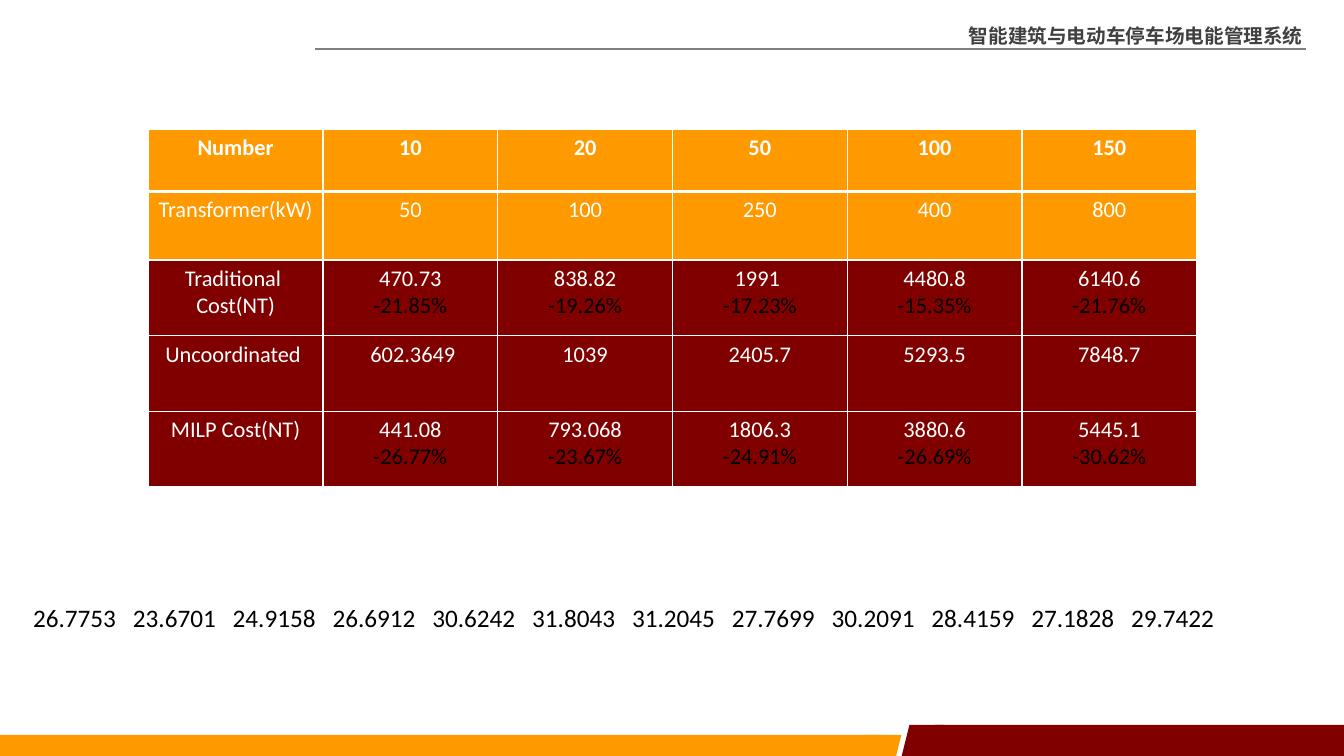
from lxml import etree
from pptx import Presentation
from pptx.dml.color import RGBColor
from pptx.enum import shapes, text
from pptx.oxml.ns import qn
from pptx.util import Inches, Pt

ORANGE = RGBColor(0xFF, 0x99, 0x00)
MAROON = RGBColor(0x80, 0x00, 0x00)
WHITE = RGBColor(0xFF, 0xFF, 0xFF)
BLACK = RGBColor(0x00, 0x00, 0x00)
GRAY = RGBColor(0x80, 0x80, 0x80)
DARK_GRAY = RGBColor(0x40, 0x40, 0x40)


def style_run(run, size, color, name="Calibri", bold=False):
    run.font.size = Pt(size)
    run.font.color.rgb = color
    run.font.name = name
    run.font.bold = bold


def add_border(cell, side, points):
    """Draw a white edge; call before the cell gets its fill."""
    line = etree.SubElement(cell._tc.get_or_add_tcPr(), qn(f"a:ln{side}"), w=str(Pt(points)))
    fill = etree.SubElement(line, qn("a:solidFill"))
    etree.SubElement(fill, qn("a:srgbClr"), val=str(WHITE))


prs = Presentation()
prs.slide_width = Inches(13.33)
prs.slide_height = Inches(7.5)
slide = prs.slides.add_slide(prs.slide_layouts[6])

# Footer bands
RECTANGLE = shapes.MSO_SHAPE.RECTANGLE
SLANT = shapes.MSO_SHAPE.PARALLELOGRAM
for kind, left, top, width, height, color in [
    (RECTANGLE, 0, 7.29, 8.73, 0.21, ORANGE),
    (SLANT, 8.52, 7.29, 0.42, 0.21, ORANGE),
    (SLANT, 8.94, 7.19, 0.42, 0.32, MAROON),
    (RECTANGLE, 9.27, 7.19, 4.06, 0.32, MAROON),
]:
    band = slide.shapes.add_shape(kind, Inches(left), Inches(top), Inches(width), Inches(height))
    band.shadow.inherit = False
    band.fill.solid()
    band.fill.fore_color.rgb = color
    band.line.fill.background()

# Header
header = slide.shapes.add_textbox(Inches(9.51), Inches(0.19), Inches(3.51), Inches(0.34))
header.text_frame.word_wrap = True
header.text_frame.margin_right = 0
header.text_frame.text = "智能建筑与电动车停车场电能管理系统"
header_run = header.text_frame.paragraphs[0].runs[0]
style_run(header_run, 14, DARK_GRAY, "Noto Sans CJK SC", True)
etree.SubElement(header_run.font._element, qn("a:ea"), typeface="Noto Sans CJK SC")

rule = slide.shapes.add_connector(
    shapes.MSO_CONNECTOR.STRAIGHT, Inches(3.12), Inches(0.49), Inches(12.95), Inches(0.49))
rule.line.color.rgb = GRAY
rule.line.width = Pt(1.5)
etree.SubElement(rule._element.spPr, qn("a:effectLst"))

# Cost table
COSTS = [
    ["Number", "10", "20", "50", "100", "150"],
    ["Transformer(kW)", "50", "100", "250", "400", "800"],
    ["Traditional \nCost(NT)", "470.73\n-21.85%", "838.82\n-19.26%",
     "1991 \n-17.23%", "4480.8\n-15.35%", "6140.6\n-21.76%"],
    ["Uncoordinated ", " 602.3649", "1039", "2405.7", "5293.5", "7848.7"],
    ["MILP Cost(NT)", "441.08\n-26.77%", "793.068\n-23.67%",
     "1806.3\n-24.91%", "3880.6\n-26.69%", "5445.1\n-30.62%"],
]
ROW_HEIGHTS = [0.62, 0.68, 0.75, 0.75, 0.75]

costs = slide.shapes.add_table(
    len(COSTS), len(COSTS[0]), Inches(1.47), Inches(1.28), Inches(10.4), Inches(3.55)).table
for row, (values, height) in enumerate(zip(COSTS, ROW_HEIGHTS)):
    costs.rows[row].height = Inches(height)
    for column, value in enumerate(values):
        cell = costs.cell(row, column)
        for side in "LRTB":
            under_heading = (row, side) in [(0, "B"), (1, "T")]
            add_border(cell, side, 3 if under_heading else 1)
        cell.fill.solid()
        cell.fill.fore_color.rgb = ORANGE if row < 2 else MAROON
        cell.text_frame.text = value
        for paragraph in cell.text_frame.paragraphs:
            paragraph.alignment = text.PP_ALIGN.CENTER
            color = BLACK if paragraph.text.startswith("-") else WHITE
            style_run(paragraph.runs[0], 16, color, bold=row == 0)

# Savings in percent, one per tab stop
SAVINGS = ["26.7753", "23.6701", "24.9158", "26.6912", "30.6242", "31.8043",
           "31.2045", "27.7699", "30.2091", "28.4159", "27.1828", "29.7422"]
savings = slide.shapes.add_textbox(Inches(0.23), Inches(5.93), Inches(12.08), Inches(0.4))
savings.text_frame.word_wrap = True
savings.text_frame.text = "\t".join(SAVINGS)
savings_line = savings.text_frame.paragraphs[0]
style_run(savings_line.runs[0], 18, BLACK)
tabs = etree.SubElement(savings_line._p.get_or_add_pPr(), qn("a:tabLst"))
for stop in range(1, len(SAVINGS)):
    etree.SubElement(tabs, qn("a:tab"), pos=str(Inches(0.99 * stop)), algn="l")

prs.save("out.pptx")
